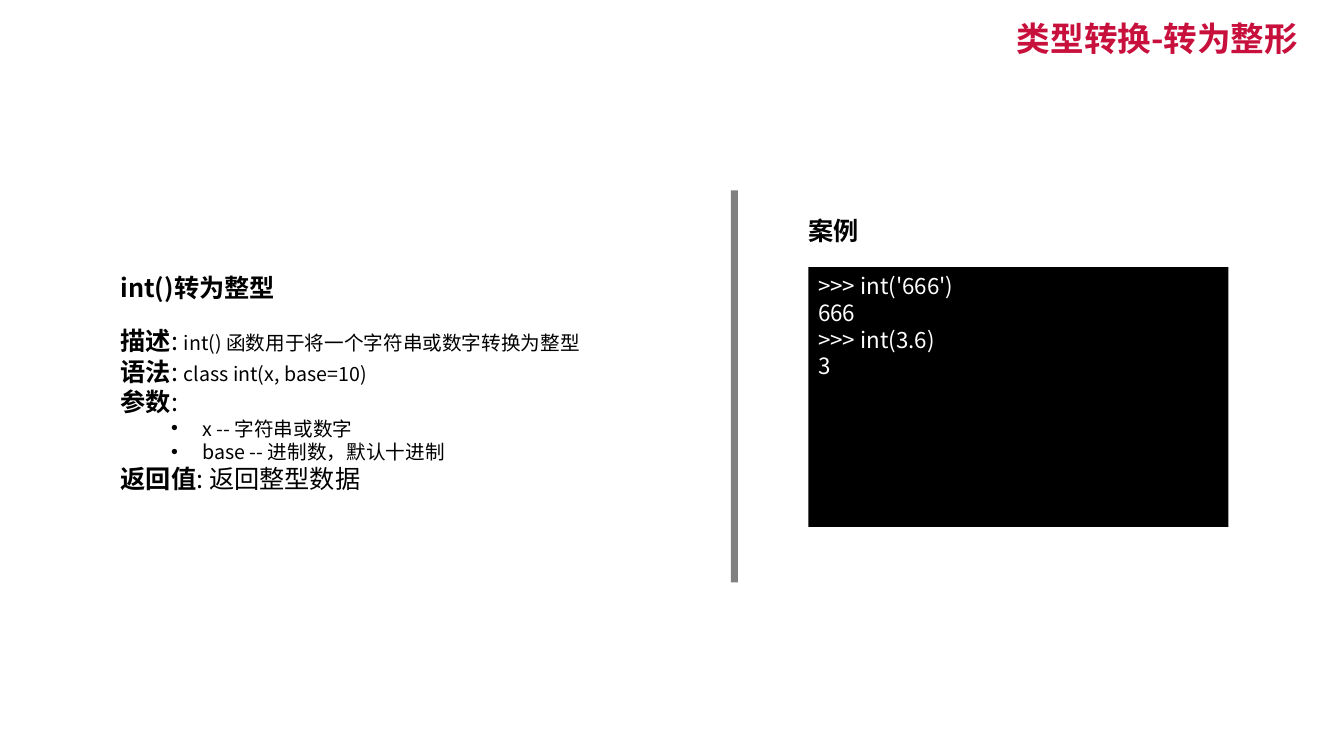
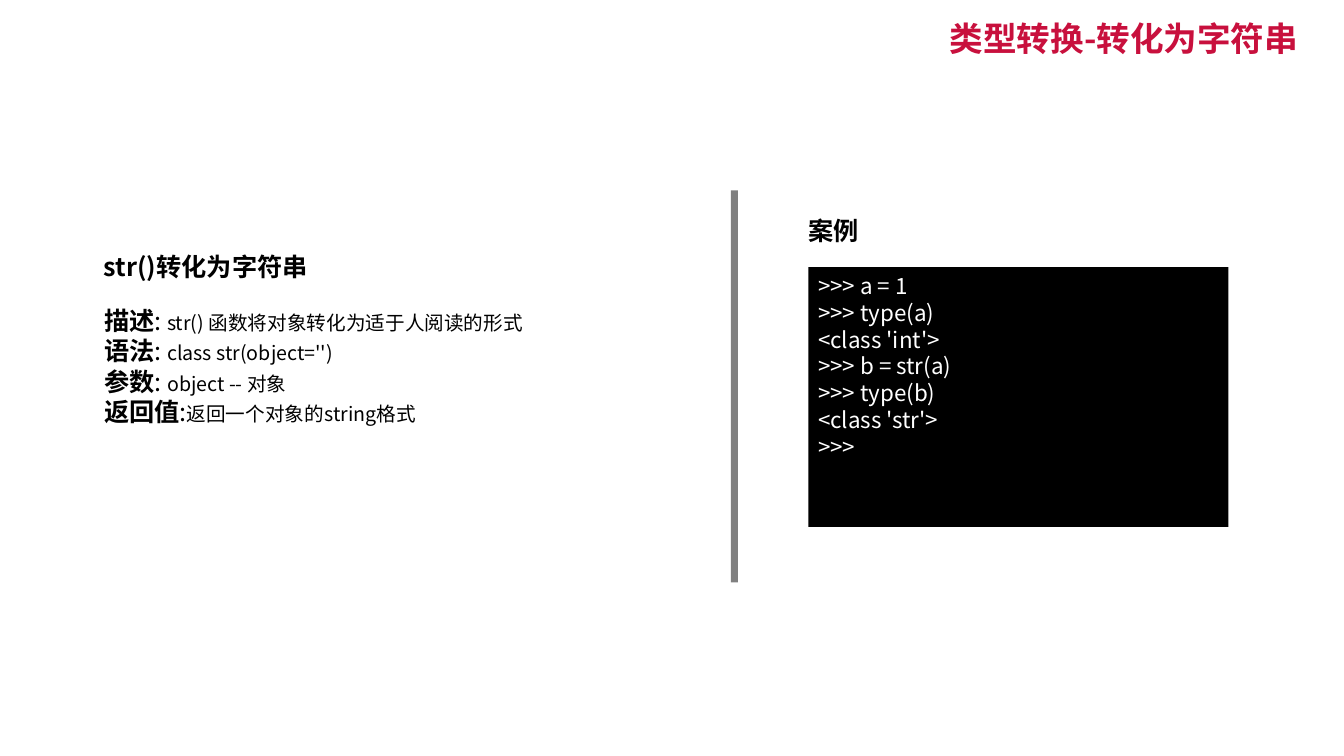
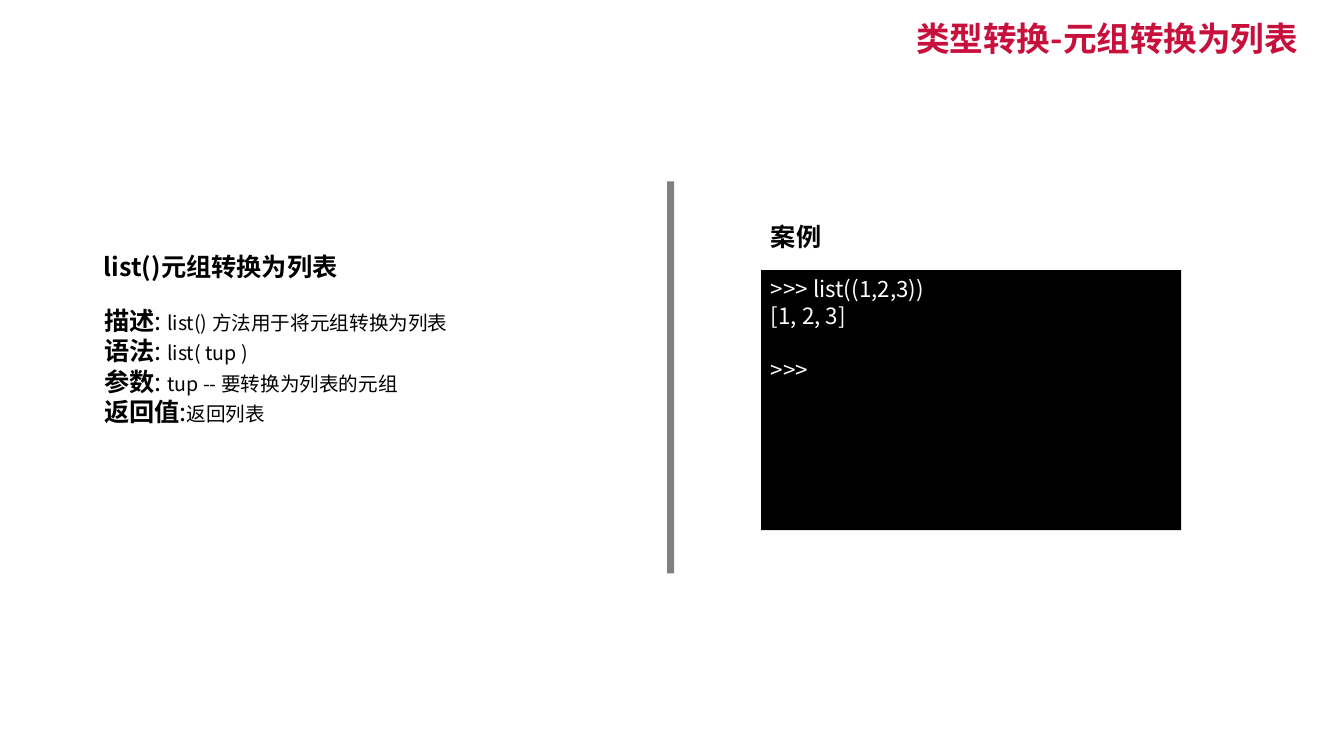
from dataclasses import dataclass

from pptx import Presentation
from pptx.dml.color import RGBColor
from pptx.enum.shapes import MSO_SHAPE as Preset
from pptx.enum.text import MSO_ANCHOR as Anchor, MSO_AUTO_SIZE as AutoSize, PP_ALIGN as Align
from pptx.oxml.ns import qn
from pptx.util import Cm, Pt
from lxml.etree import SubElement

FONT = "Noto Sans CJK SC"
CRIMSON = "C8103D"
BLACK = "000000"
WHITE = "FFFFFF"
GREY = "808080"
LARGE, CODE, SMALL = 18, 16, 14
LINE_FACTOR = 1.2
HEADING_HEIGHT = 1.02
HEADING_TO_BODY = 1.35


@dataclass(frozen=True)
class Span:
    text: str
    size: float = SMALL
    bold: bool = False


@dataclass(frozen=True)
class Row:
    spans: tuple[Span, ...]
    bullet: bool = False


@dataclass(frozen=True)
class Area:
    left: float
    top: float
    width: float
    height: float


@dataclass(frozen=True)
class Example:
    divider: Area
    label: Area
    console: Area


@dataclass(frozen=True)
class Lesson:
    title: str
    heading: str
    heading_area: Area
    body_width: float
    body_height: float
    rows: tuple[Row, ...]
    example: Example
    code: tuple[str, ...]


def entry(term: str, colon: str, detail: str) -> Row:
    return Row((Span(term, LARGE, True), Span(colon, LARGE), Span(detail)))


def make_example(divider: tuple[float, float], label: tuple[float, float],
                 console: tuple[float, float]) -> Example:
    return Example(Area(*divider, 0.18, 9.88), Area(*label, 1.9, HEADING_HEIGHT),
                   Area(*console, 10.59, 6.55))


RIGHT_EXAMPLE = make_example((18.42, 4.8), (20.12, 5.31), (20.37, 6.73))
CENTRE_EXAMPLE = make_example((16.81, 4.57), (19.18, 5.44), (19.18, 6.81))

LESSONS = (
    Lesson(
        "类型转换-转为整形",
        "int()转为整型",
        Area(2.79, 6.73, 4.72, HEADING_HEIGHT), 15.29, 4.7,
        (
            entry("描述", ": ", "int() 函数用于将一个字符串或数字转换为整型"),
            entry("语法", ": ", "class int(x, base=10)"),
            Row((Span("参数", LARGE, True), Span(":", LARGE))),
            Row((Span("x -- 字符串或数字"),), True),
            Row((Span("base -- 进制数，默认十进制"),), True),
            Row((Span("返回值", LARGE, True), Span(": 返回整型数据", LARGE))),
        ),
        RIGHT_EXAMPLE,
        (">>> int('666')", "666", ">>> int(3.6)", "3"),
    ),
    Lesson(
        "类型转换-转化为字符串",
        "str()转化为字符串",
        Area(2.37, 6.22, 6.02, HEADING_HEIGHT), 15.29, 3.33,
        (
            entry("描述", ": ", "str() 函数将对象转化为适于人阅读的形式"),
            entry("语法", ": ", "class str(object='')"),
            entry("参数", ": ", "object -- 对象"),
            entry("返回值", ":", "返回一个对象的string格式"),
        ),
        RIGHT_EXAMPLE,
        (">>> a = 1", ">>> type(a)", "<class 'int'>", ">>> b = str(a)",
         ">>> type(b)", "<class 'str'>", ">>>"),
    ),
    Lesson(
        "类型转换-元组转换为列表",
        "list()元组转换为列表",
        Area(2.37, 6.22, 6.99, HEADING_HEIGHT), 11.1, 3.33,
        (
            entry("描述", ": ", "list() 方法用于将元组转换为列表"),
            entry("语法", ": ", "list( tup )"),
            entry("参数", ": ", "tup -- 要转换为列表的元组"),
            entry("返回值", ":", "返回列表"),
        ),
        CENTRE_EXAMPLE,
        (">>> list((1,2,3))", "[1, 2, 3]", "", ">>>"),
    ),
)


def colour(value: str) -> RGBColor:
    return RGBColor.from_string(value)


def lengths(area: Area) -> tuple[Cm, Cm, Cm, Cm]:
    return Cm(area.left), Cm(area.top), Cm(area.width), Cm(area.height)


def place(shape, area: Area) -> None:
    shape.left, shape.top, shape.width, shape.height = lengths(area)
    frame = shape.text_frame
    frame.word_wrap = True
    frame.auto_size = AutoSize.NONE


def format_run(run, size: float, bold: bool, hex_colour: str) -> None:
    run.font.size = Pt(size)
    run.font.bold = bold
    run.font.color.rgb = colour(hex_colour)
    run.font.name = FONT
    SubElement(run.font._element, qn("a:ea"), typeface=FONT)


def set_spacing(para, size: float, before: float = 0) -> None:
    para.line_spacing = Pt(size * LINE_FACTOR)
    para.space_before = Pt(before)


def set_bullet(para, bullet: bool) -> None:
    properties = para._p.get_or_add_pPr()
    para.level = int(bullet)
    properties.set("marL", str(Cm(2.06 if bullet else 0)))
    properties.set("indent", str(Cm(-0.79 if bullet else 0)))
    if bullet:
        SubElement(properties, qn("a:buFont"), typeface="Arial")
        SubElement(properties, qn("a:buChar"), char="•")
    else:
        SubElement(properties, qn("a:buNone"))


def add_title(page, text: str) -> None:
    title = page.shapes.title
    place(title, Area(16.94, 0.51, 16.03, 1.04))
    frame = title.text_frame
    frame.margin_top = frame.margin_bottom = 0
    frame.vertical_anchor = Anchor.MIDDLE
    frame.text = text
    para = frame.paragraphs[0]
    para.alignment = Align.RIGHT
    para.line_spacing = 0.9
    format_run(para.runs[0], 24, True, CRIMSON)


def add_heading(page, text: str, area: Area) -> None:
    box = page.shapes.add_textbox(*lengths(area))
    place(box, area)
    box.text_frame.text = text
    para = box.text_frame.paragraphs[0]
    set_spacing(para, LARGE)
    format_run(para.runs[0], LARGE, True, BLACK)


def fill_body(page, area: Area, rows: tuple[Row, ...]) -> None:
    body = page.placeholders[1]
    place(body, area)
    frame = body.text_frame
    frame.vertical_anchor = Anchor.TOP
    for index, row in enumerate(rows):
        para = frame.add_paragraph() if index else frame.paragraphs[0]
        set_bullet(para, row.bullet)
        set_spacing(para, max(span.size for span in row.spans))
        for span in row.spans:
            run = para.add_run()
            run.text = span.text
            format_run(run, span.size, span.bold, BLACK)


def add_block(page, area: Area, hex_colour: str):
    block = page.shapes.add_shape(Preset.RECTANGLE, *lengths(area))
    block.shadow.inherit = False
    block.fill.solid()
    block.fill.fore_color.rgb = colour(hex_colour)
    block.line.fill.background()
    return block


def add_console(page, area: Area, code: tuple[str, ...]) -> None:
    console = add_block(page, area, BLACK)
    place(console, area)
    frame = console.text_frame
    frame.vertical_anchor = Anchor.TOP
    gap = 0
    for index, line in enumerate(code):
        if not line:
            gap += CODE * LINE_FACTOR
            continue
        para = frame.add_paragraph() if index else frame.paragraphs[0]
        para.text = line
        para.alignment = Align.LEFT
        set_spacing(para, CODE, gap)
        format_run(para.runs[0], CODE, False, WHITE)
        gap = 0


def add_lesson(deck, lesson: Lesson) -> None:
    page = deck.slides.add_slide(deck.slide_layouts[1])
    heading = lesson.heading_area
    example = lesson.example
    body_area = Area(heading.left, heading.top + HEADING_TO_BODY,
                     lesson.body_width, lesson.body_height)
    add_title(page, lesson.title)
    add_heading(page, lesson.heading, heading)
    fill_body(page, body_area, lesson.rows)
    add_block(page, example.divider, GREY)
    add_heading(page, "案例", example.label)
    add_console(page, example.console, lesson.code)


def main() -> None:
    deck = Presentation()
    deck.slide_width, deck.slide_height = Cm(33.87), Cm(19.05)
    for lesson in LESSONS:
        add_lesson(deck, lesson)
    deck.save("out.pptx")


if __name__ == "__main__":
    main()
